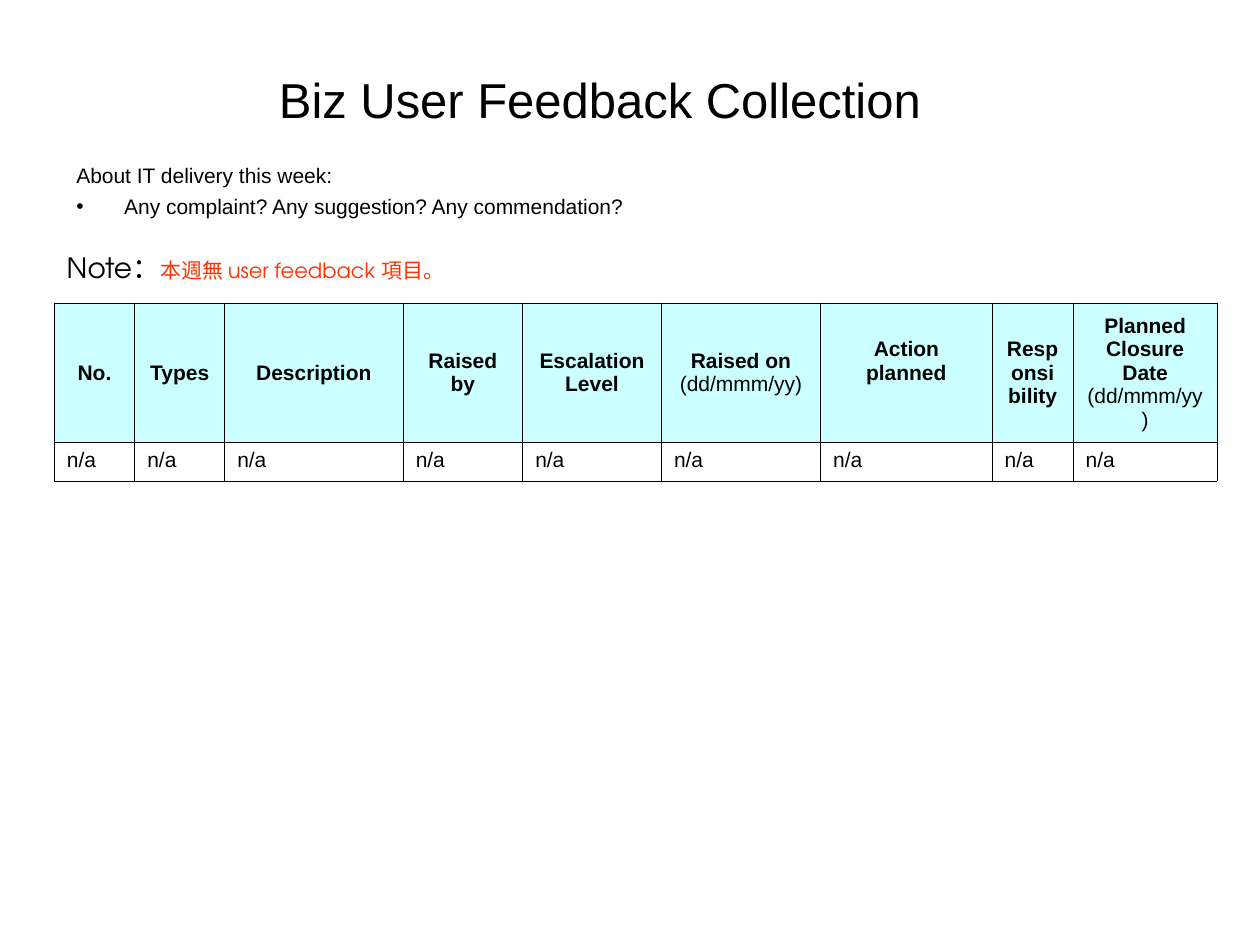
"""Build the weekly business user feedback slide."""
from lxml import etree
from pptx import Presentation
from pptx import util as u
from pptx.dml import color
from pptx.enum import text
from pptx.oxml import ns

COLORS = {"black": "000000", "header": "CCFFFF", "note": "FF3300"}
INDENT = 27.36


def style(font, size, name="Arial", tint="black", bold=False):
    font.size, font.name, font.bold = u.Pt(size), name, bold
    font.color.rgb = color.RGBColor.from_string(COLORS[tint])


def add_text_box(left, top, width, height):
    box = slide.shapes.add_textbox(u.Pt(left), u.Pt(top), u.Pt(width), u.Pt(height))
    box.text_frame.word_wrap = True
    return box.text_frame


presentation = Presentation()
presentation.slide_width, presentation.slide_height = u.Pt(720), u.Pt(540)
slide = presentation.slides.add_slide(presentation.slide_layouts[5])

title = slide.shapes.title
title.left, title.top, title.width, title.height = u.Pt(31), u.Pt(37.5), u.Pt(623.5), u.Pt(37.5)
frame = title.text_frame
frame.margin_left = frame.margin_right = frame.margin_top = frame.margin_bottom = 0
frame.vertical_anchor = text.MSO_ANCHOR.MIDDLE
frame.auto_size = text.MSO_AUTO_SIZE.NONE
frame.text = "Biz User Feedback Collection"
frame.paragraphs[0].alignment = text.PP_ALIGN.CENTER
style(frame.paragraphs[0].font, 28)

questions = add_text_box(36.5, 89.5, 522, 49)
questions.text = "About IT delivery this week:\nAny complaint? Any suggestion? Any commendation?"
heading, question = questions.paragraphs
question.space_before = u.Pt(3)
properties = question._p.get_or_add_pPr()
properties.set("marL", str(u.Pt(INDENT)))
properties.set("indent", str(-u.Pt(INDENT)))
etree.SubElement(properties, ns.qn("a:buFont"), typeface="Arial")
etree.SubElement(properties, ns.qn("a:buChar"), char="•")
for paragraph in (heading, question):
    style(paragraph.font, 12)

headers = [
    ("No.", ""), ("Types", ""), ("Description", ""), ("Raised by", ""),
    ("Escalation Level", ""), ("Raised on", "(dd/mmm/yy)"), ("Action planned\v", ""),
    ("Responsibility", ""), ("Planned Closure Date", "(dd/mmm/yy)"),
]
widths = [46, 51.4, 102, 68.3, 79.3, 91, 98, 46.3, 82.3]
heights = [79.5, 22]
table = slide.shapes.add_table(
    len(heights), len(widths), u.Pt(31), u.Pt(173.3), u.Pt(sum(widths)), u.Pt(sum(heights))
).table
table.first_row = table.horz_banding = False
for column, width in zip(table.columns, widths):
    column.width = u.Pt(width)
for row, height in zip(table.rows, heights):
    row.height = u.Pt(height)

for index, (label, date_format) in enumerate(headers):
    for row_index in range(len(heights)):
        cell = table.cell(row_index, index)
        cell.margin_left = cell.margin_right = u.Pt(7.2)
        cell.margin_top = cell.margin_bottom = u.Pt(3.6)
        for side in ("lnL", "lnR", "lnT", "lnB"):
            line = etree.SubElement(
                cell._tc.get_or_add_tcPr(), ns.qn(f"a:{side}"), w=str(u.Pt(0.45))
            )
            fill = etree.SubElement(line, ns.qn("a:solidFill"))
            etree.SubElement(fill, ns.qn("a:srgbClr"), val=COLORS["black"])
        paragraph = cell.text_frame.paragraphs[0]
        is_header = row_index == 0
        style(paragraph.font, 12, bold=is_header)
        if is_header:
            cell.fill.solid()
            cell.fill.fore_color.rgb = color.RGBColor.from_string(COLORS["header"])
            cell.vertical_anchor = text.MSO_ANCHOR.MIDDLE
            paragraph.alignment = text.PP_ALIGN.CENTER
            paragraph.text = label
            if date_format:
                paragraph.add_line_break()
                run = paragraph.add_run()
                run.text, run.font.bold = date_format, False
        else:
            cell.fill.background()
            paragraph.text = "n/a"

note = add_text_box(31, 139.7, 623.5, 26.6).paragraphs[0]
for words, size, tint in (("Note：", 16, "black"), ("本週無 user feedback 項目。", 12, "note")):
    run = note.add_run()
    run.text = words
    style(run.font, size, "TeX Gyre Adventor", tint)

presentation.save("out.pptx")
